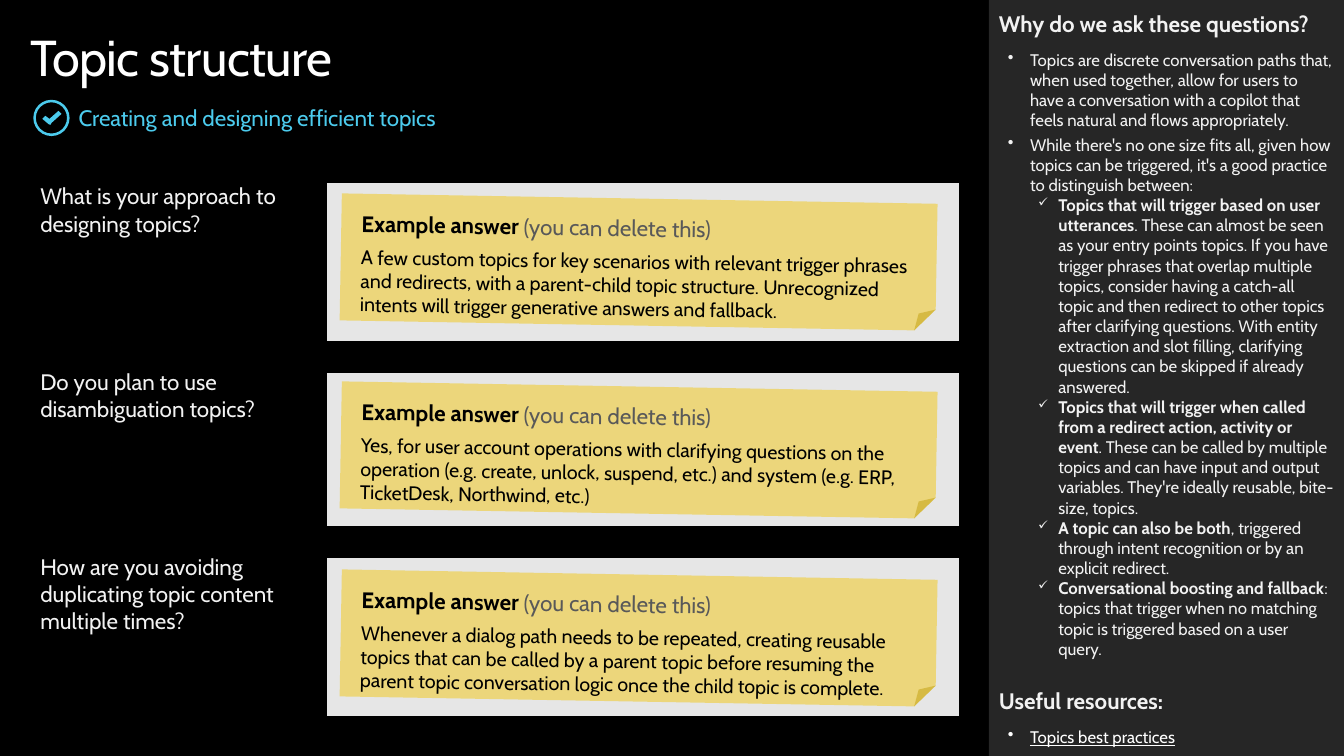
from lxml import etree
from pptx import Presentation
from pptx.dml.color import RGBColor
from pptx.enum.shapes import MSO_SHAPE
from pptx.enum.text import MSO_ANCHOR, PP_ALIGN
from pptx.oxml.ns import qn
from pptx.util import Inches, Pt

RECT, DONUT, NOTE = MSO_SHAPE.RECTANGLE, MSO_SHAPE.DONUT, MSO_SHAPE.FOLDED_CORNER
TOP, MIDDLE, LEFT = MSO_ANCHOR.TOP, MSO_ANCHOR.MIDDLE, PP_ALIGN.LEFT
BLACK = RGBColor(0x00, 0x00, 0x00)
WHITE = RGBColor(0xFF, 0xFF, 0xFF)
PALE = RGBColor(0xF2, 0xF2, 0xF2)
LIGHT = RGBColor(0xE6, 0xE6, 0xE6)
GREY = RGBColor(0x59, 0x59, 0x59)
DARK = RGBColor(0x26, 0x26, 0x26)
CYAN = RGBColor(0x4C, 0xCB, 0xED)
YELLOW = RGBColor(0xF2, 0xC8, 0x11)
PLAIN_GRID = "{2D5ABB26-0587-4C30-8999-92F81FD0307C}"

TOPICS = [
    ("What is your approach to designing topics?",
     "A few custom topics for key scenarios with relevant trigger phrases and redirects, "
     "with a parent-child topic structure. Unrecognized intents will trigger generative "
     "answers and fallback."),
    ("Do you plan to use disambiguation topics?",
     "Yes, for user account operations with clarifying questions on the operation "
     "(e.g. create, unlock, suspend, etc.) and system (e.g. ERP, TicketDesk, Northwind, etc.)"),
    ("How are you avoiding duplicating topic content multiple times?",
     "Whenever a dialog path needs to be repeated, creating reusable topics that can be "
     "called by a parent topic before resuming the parent topic conversation logic once "
     "the child topic is complete."),
]
REASONS = [
    "Topics are discrete conversation paths that, when used together, allow for users to "
    "have a conversation with a copilot that feels natural and flows appropriately.",
    "While there's no one size fits all, given how topics can be triggered, it's a good "
    "practice to distinguish between:",
]
KINDS = [
    ("Topics that will trigger based on user utterances",
     ". These can almost be seen as your entry points topics. If you have trigger phrases "
     "that overlap multiple topics, consider having a catch-all topic and then redirect to "
     "other topics after clarifying questions. With entity extraction and slot filling, "
     "clarifying questions can be skipped if already answered."),
    ("Topics that will trigger when called from a redirect action, activity or event",
     ". These can be called by multiple topics and can have input and output variables. "
     "They're ideally reusable, bite-size, topics."),
    ("A topic can also be both",
     ", triggered through intent recognition or by an explicit redirect."),
    ("Conversational boosting and fallback",
     ": topics that trigger when no matching topic is triggered based on a user query."),
]
TICK = [(4.35, 14.67), (3.68, 15.73), (3.38, 15.33), (3.15, 15.73), (3.6, 16.4),
        (3.75, 16.53), (3.83, 16.27), (4.58, 15.07)]


class Deck:
    """Draws on one slide; every length is a percentage of the slide's size."""

    font = "Cabin"

    def __init__(self):
        self.file = Presentation()
        self.file.slide_width, self.file.slide_height = Inches(13.33), Inches(7.5)
        self.slide = self.file.slides.add_slide(self.file.slide_layouts[6])
        self.slide.background.fill.solid()
        self.slide.background.fill.fore_color.rgb = BLACK

    def x(self, share):
        return round(self.file.slide_width * share / 100)

    def y(self, share):
        return round(self.file.slide_height * share / 100)

    def box(self, left, top, width, height):
        return self.x(left), self.y(top), self.x(width), self.y(height)

    def paint(self, shape, color):
        shape.shadow.inherit = False
        shape.fill.solid()
        shape.fill.fore_color.rgb = color
        shape.line.fill.background()
        return shape

    def shape(self, kind, area, color):
        return self.paint(self.slide.shapes.add_shape(kind, *self.box(*area)), color)

    def outline(self, points, color):
        spots = [(self.x(x), self.y(y)) for x, y in points]
        pen = self.slide.shapes.build_freeform(*spots[0])
        pen.add_line_segments(spots[1:])
        return self.paint(pen.convert_to_shape(), color)

    def frame(self, shape, sides=0, ends=0, anchor=TOP):
        frame = shape.text_frame
        frame.word_wrap = True
        frame.margin_left = frame.margin_right = Inches(sides)
        frame.margin_top = frame.margin_bottom = Inches(ends)
        frame.vertical_anchor = anchor
        return frame

    def text(self, area, **margins):
        return self.frame(self.slide.shapes.add_textbox(*self.box(*area)), **margins)

    def label(self, para, words, size, color, bold=False):
        """Append one formatted run to a paragraph."""
        run = para.add_run()
        run.text = words
        run.font.name, run.font.size, run.font.bold = self.font, Pt(size), bold
        run.font.color.rgb = color
        para.alignment = LEFT
        return run

    def bullet(self, para, mark, indent, hang, scale=100):
        props = para._p.get_or_add_pPr()
        props.set("marL", str(Inches(indent)))
        props.set("indent", str(-Inches(hang)))
        etree.SubElement(props, qn("a:buSzPct"), val=str(scale * 1000))
        etree.SubElement(props, qn("a:buChar"), char=mark)

    def note(self, area, answer):
        note = self.shape(NOTE, area, YELLOW)
        note.rotation = 1
        shade = note.fill._xPr.find(qn("a:solidFill"))[0]
        etree.SubElement(shade, qn("a:alpha"), val="50000")
        frame = self.frame(note, sides=0.2, ends=0.16)
        head, body = frame.paragraphs[0], frame.add_paragraph()
        self.label(head, "Example answer ", 16, BLACK, True)
        self.label(head, "(you can delete this)", 16, GREY)
        self.label(body, answer, 14, BLACK)
        head.space_after = body.space_after = Pt(6)

    def rule(self, cell, side):
        line = etree.SubElement(cell._tc.get_or_add_tcPr(), qn("a:" + side), w=str(Pt(6)))
        fill = etree.SubElement(line, qn("a:solidFill"))
        etree.SubElement(fill, qn("a:srgbClr"), val=str(BLACK))

    def table(self, left, top, widths, tall, gap, labels):
        """Question rows with a light answer cell, parted by thin black rows."""
        count = 2 * len(labels) - 1
        high = tall * len(labels) + gap * (len(labels) - 1)
        area = self.box(left, top, sum(widths), high)
        table = self.slide.shapes.add_table(count, 2, *area).table
        table.first_row = table.horz_banding = False
        table._tbl.tblPr.find(qn("a:tableStyleId")).text = PLAIN_GRID
        for col, width in zip(table.columns, widths):
            col.width = self.x(width)
        for i, row in enumerate(table.rows):
            thin = i % 2 == 1
            row.height = self.y(gap if thin else tall)
            for j, cell in enumerate(row.cells):
                cell.margin_left = cell.margin_top = cell.margin_bottom = 0
                cell.margin_right = Inches(0.1)
                if i > 0:
                    self.rule(cell, "lnT")
                if i < count - 1:
                    self.rule(cell, "lnB")
                cell.fill.solid()
                cell.fill.fore_color.rgb = LIGHT if j and not thin else BLACK
                para = cell.text_frame.paragraphs[0]
                if j or thin:
                    etree.SubElement(para._p, qn("a:endParaRPr"), sz="800")
                else:
                    self.label(para, labels[i // 2], 16, PALE)


def panel(deck):
    """The dark column on the right with its reasons and resources."""
    area = (73.58, 0, 26.42, 100)
    deck.shape(RECT, area, DARK)
    frame = deck.text(area, sides=0.1, ends=0.1)
    head = frame.paragraphs[0]
    deck.label(head, "Why do we ask these questions?", 16, PALE, True)
    head.space_after = Pt(6)

    def point(words, color=PALE):
        para = frame.add_paragraph()
        deck.bullet(para, "•", 0.31, 0.22)
        para.space_before = Pt(3)
        return deck.label(para, words, 12, color)

    for reason in REASONS:
        point(reason)
    for lead, rest in KINDS:
        para = frame.add_paragraph()
        para.level = 1
        deck.bullet(para, "✓", 0.59, 0.2, 75)
        deck.label(para, lead, 12, PALE, True)
        deck.label(para, rest, 12, PALE)
    head = frame.add_paragraph()
    deck.label(head, "Useful resources:", 16, PALE, True)
    head.space_before, head.space_after = Pt(20.5), Pt(6)
    point("Topics best practices", WHITE).font.underline = True


def main():
    deck = Deck()
    ring = deck.shape(DONUT, (2.48, 13.2, 2.7, 4.8), CYAN)
    ring.adjustments[0] = 0.07
    deck.outline(TICK, CYAN)
    title = deck.text((2.25, 3.47, 69.08, 8.13)).paragraphs[0]
    run = deck.label(title, "Topic structure", 36, WHITE)
    run.font._element.set("spc", "-50")
    lead = deck.text((5.85, 13.73, 65.48, 3.6), anchor=MIDDLE).paragraphs[0]
    deck.label(lead, "Creating and designing efficient topics", 16, CYAN)
    deck.table(3, 24.27, (21.3, 47.03), 21.33, 3.2, [ask for ask, _ in TOPICS])
    panel(deck)
    for i, (_, answer) in enumerate(TOPICS):
        deck.note((25.35, 26.27 + 24.87 * i, 44.33, 16.8), answer)
    deck.file.save("out.pptx")


if __name__ == "__main__":
    main()
